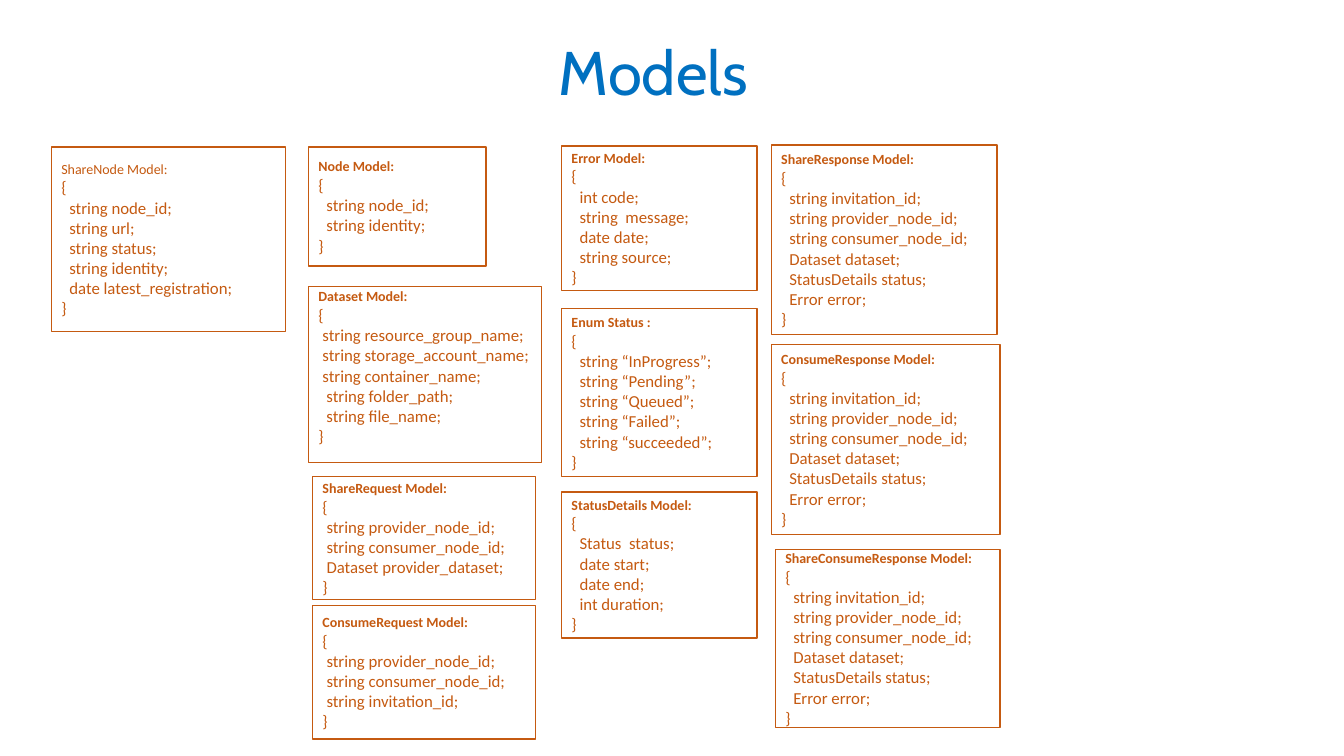
import pptx
import pptx.util
import pptx.dml.color
import pptx.enum.shapes
import pptx.enum.text
from dataclasses import dataclass
from pptx.util import Inches


@dataclass(frozen=True)
class Theme:
    title_color: str = "0070C0"
    model_color: str = "C55A11"
    box_fill: str = "FFFFFF"
    title_font: str = "Cabin"
    model_font: str = "Calibri"
    title_size: int = 44
    name_size: int = 10
    field_size: int = 12
    border: int = 1


theme = Theme()


def rgb(code):
    return pptx.dml.color.RGBColor.from_string(code)


def add_run(paragraph, text, font, size, color, bold=False):
    run = paragraph.add_run()
    run.text = text
    run.font.name = font
    run.font.size = pptx.util.Pt(size)
    run.font.bold = bold
    run.font.color.rgb = rgb(color)


deck = pptx.Presentation()
deck.slide_width = Inches(13.33)
deck.slide_height = Inches(7.5)
slide = deck.slides.add_slide(deck.slide_layouts[6])

# Title
heading = slide.shapes.add_textbox(Inches(0.51), Inches(0.44), Inches(11.94), Inches(0.61))
heading.text_frame.word_wrap = True
heading.text_frame.vertical_anchor = pptx.enum.text.MSO_ANCHOR.MIDDLE
heading_line = heading.text_frame.paragraphs[0]
heading_line.alignment = pptx.enum.text.PP_ALIGN.CENTER
heading_line.line_spacing = 0.9
add_run(heading_line, "Models", theme.title_font, theme.title_size, theme.title_color)

# Field lists: each group has an indent level and its fields
response_fields = [(2, ["string invitation_id;", "string provider_node_id;",
                        "string consumer_node_id;", "Dataset dataset;",
                        "StatusDetails status;", "Error error;"])]
request_ids = ["string provider_node_id;", "string consumer_node_id;"]
statuses = ["InProgress", "Pending", "Queued", "Failed", "succeeded"]

# Models: name, (left, top, width, height), field groups
models = [
    ("ShareNode Model:", (0.51, 1.46, 2.32, 1.83),
     [(2, ["string node_id;", "string url;", "string status;",
           "string identity;", "date latest_registration;"])]),
    ("Node Model:", (3.06, 1.46, 1.76, 1.18),
     [(2, ["string node_id;", "string identity;"])]),
    ("Dataset Model:", (3.06, 2.84, 2.31, 1.75),
     [(1, ["string resource_group_name;", "string storage_account_name;",
           "string container_name;"]),
      (2, ["string folder_path;", "string file_name;"])]),
    ("ShareRequest Model:", (3.1, 4.73, 2.21, 1.22),
     [(1, request_ids + ["Dataset provider_dataset;"])]),
    ("ConsumeRequest Model:", (3.1, 6.01, 2.21, 1.32),
     [(1, request_ids + ["string invitation_id;"])]),
    ("Error Model:", (5.57, 1.45, 1.94, 1.43),
     [(2, ["int code;", "string  message;", "date date;", "string source;"])]),
    ("Enum Status :", (5.57, 3.06, 1.94, 1.67),
     [(2, [f"string “{status}”;" for status in statuses])]),
    ("StatusDetails Model:", (5.57, 4.88, 1.94, 1.45),
     [(2, ["Status  status;", "date start;", "date end;", "int duration;"])]),
    ("ShareResponse Model:", (7.65, 1.44, 2.24, 1.88), response_fields),
    ("ConsumeResponse Model:", (7.65, 3.42, 2.27, 1.88), response_fields),
    ("ShareConsumeResponse Model:", (7.69, 5.45, 2.23, 1.77), response_fields),
]
indent_step = Inches(0.04)

# Model boxes
for name, place, groups in models:
    box = slide.shapes.add_shape(pptx.enum.shapes.MSO_SHAPE.FLOWCHART_PROCESS,
                                 *[Inches(length) for length in place])
    box.shadow.inherit = False
    box.fill.solid()
    box.fill.fore_color.rgb = rgb(theme.box_fill)
    box.line.color.rgb = rgb(theme.model_color)
    box.line.width = pptx.util.Pt(theme.border)

    body = box.text_frame
    body.word_wrap = True
    body.vertical_anchor = pptx.enum.text.MSO_ANCHOR.MIDDLE
    if name == "Dataset Model:":  # its text sits against the top edge
        body.margin_top = 0
        body.margin_bottom = Inches(0.15)

    name_line = body.paragraphs[0]
    name_line.alignment = pptx.enum.text.PP_ALIGN.LEFT
    add_run(name_line, name, theme.model_font, theme.name_size, theme.model_color,
            bold=name != "ShareNode Model:")

    # Braces and indented fields
    for level, fields in [(0, ["{"]), *groups, (0, ["}"])]:
        for field in fields:
            field_line = body.add_paragraph()
            field_line.alignment = pptx.enum.text.PP_ALIGN.LEFT
            field_line._p.get_or_add_pPr().set("marL", str(level * indent_step))
            add_run(field_line, field, theme.model_font, theme.field_size, theme.model_color)

deck.save("out.pptx")
